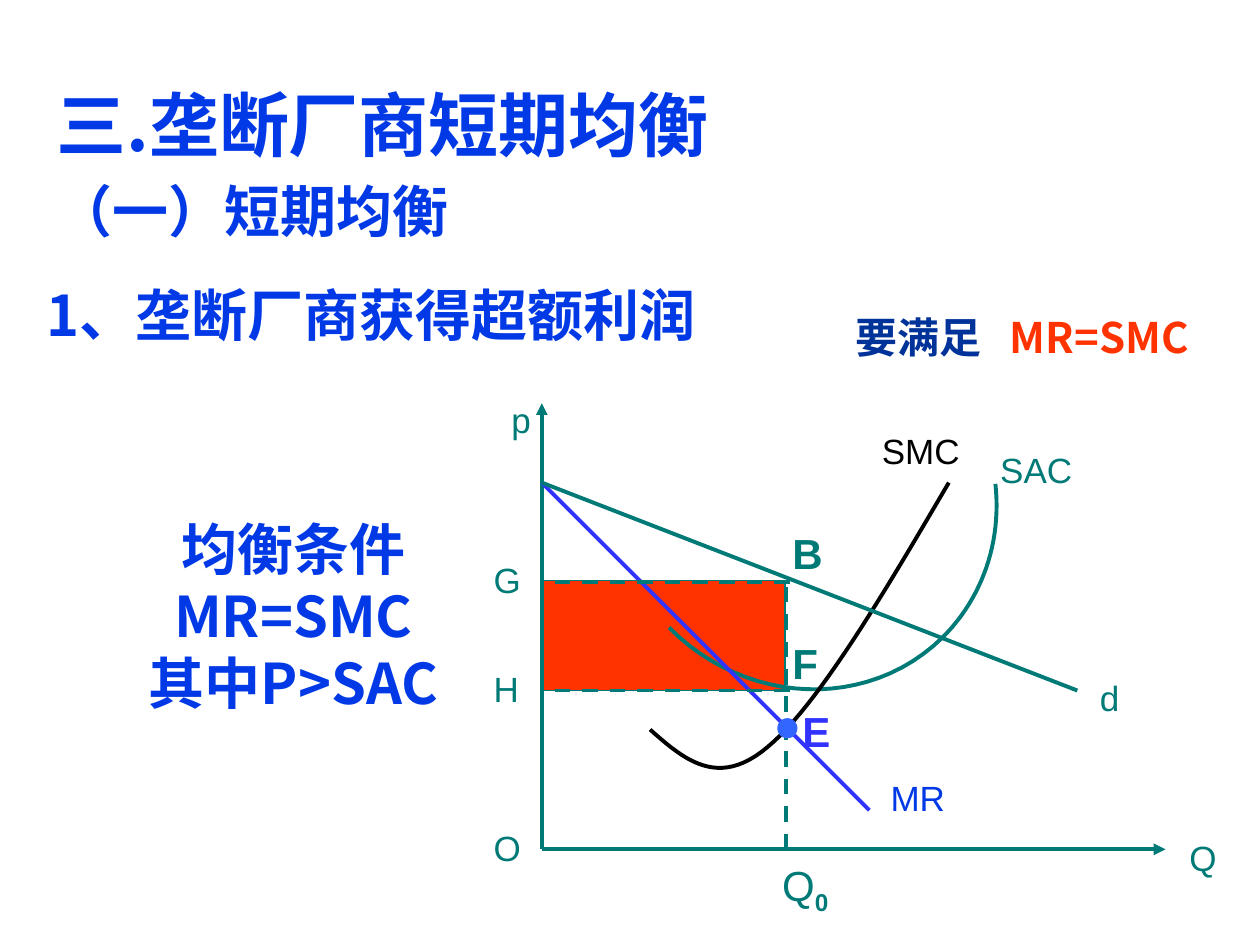
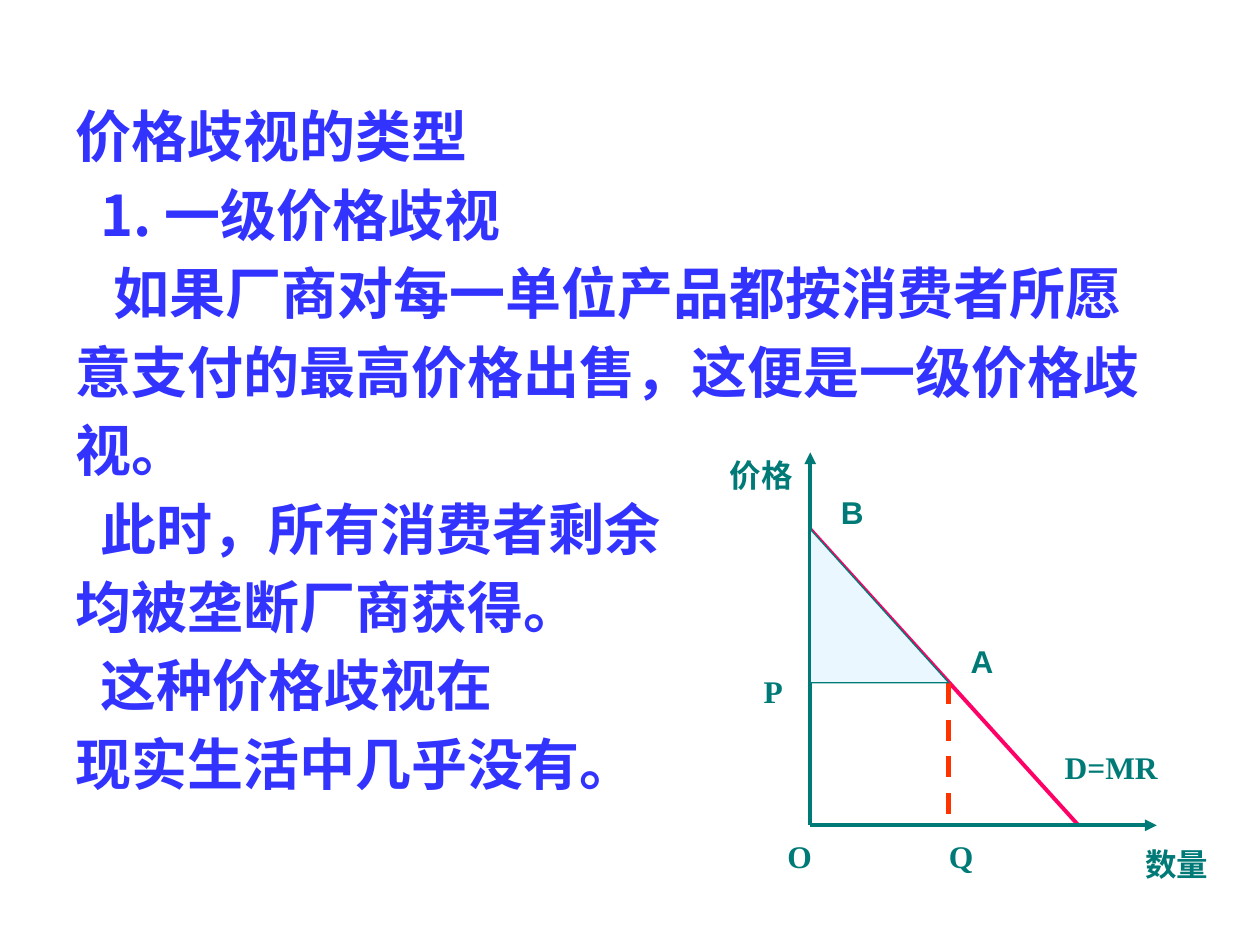
from dataclasses import dataclass

from lxml.etree import SubElement
from pptx import Presentation
from pptx.dml.color import RGBColor
from pptx.enum.dml import MSO_LINE
from pptx.enum.shapes import MSO_CONNECTOR, MSO_SHAPE
from pptx.enum.text import MSO_ANCHOR as Anchor, PP_ALIGN as Align
from pptx.oxml.ns import qn
from pptx.util import Pt

# Shared colours and fonts
TEAL = RGBColor(0x00, 0x7A, 0x77)
BLUE = RGBColor(0x00, 0x39, 0xE5)
VIOLET = RGBColor(0x33, 0x33, 0xFF)
NAVY = RGBColor(0x00, 0x33, 0x99)
DOT_BLUE = RGBColor(0x33, 0x66, 0xFF)
RED = RGBColor(0xFF, 0x33, 0x00)
PINK = RGBColor(0xFF, 0x00, 0x66)
PALE_BLUE = RGBColor(0xEB, 0xF7, 0xFF)
BLACK = RGBColor(0x00, 0x00, 0x00)
CHINESE = "Noto Sans CJK SC"
LINE_HEIGHT = 1.2
PARAGRAPH_GAP = 0.2


@dataclass(frozen=True)
class Style:
    size: float
    color: RGBColor = TEAL
    font: str = "Arial"
    bold: bool = False


@dataclass(frozen=True)
class Line:
    text: str
    style: Style
    indent: float = 0


@dataclass(frozen=True)
class Box:
    left: float
    top: float
    width: float
    height: float

    def lengths(self) -> tuple:
        return Pt(self.left), Pt(self.top), Pt(self.width), Pt(self.height)


@dataclass(frozen=True)
class Label:
    text: str
    box: Box
    style: Style


@dataclass(frozen=True)
class Segment:
    start: tuple[float, float]
    end: tuple[float, float]
    color: RGBColor = TEAL
    width: float = 2.25
    dashed: bool = False
    arrow: bool = False


TITLE = Style(40, BLUE, CHINESE, True)
HEADING = Style(32, BLUE, CHINESE, True)
BODY = Style(32, VIOLET, CHINESE, True)
NOTE = Style(24, NAVY, CHINESE, True)
AXIS = Style(20)
POINT = Style(24, bold=True)
SERIF = Style(18, font="Times New Roman", bold=True)
CORNER = Style(18, bold=True)


def format_paragraph(paragraph, style: Style) -> None:
    font = paragraph.font
    font.size, font.bold, font.name = Pt(style.size), style.bold, style.font
    font.color.rgb = style.color
    if style.font == CHINESE:
        paragraph.line_spacing = Pt(style.size * LINE_HEIGHT)
        defaults = paragraph._p.pPr.find(qn("a:defRPr"))
        SubElement(defaults, qn("a:ea")).set("typeface", CHINESE)


def add_text(slide, box: Box, lines: list[Line], inset: bool = True,
             align: Align = Align.LEFT, anchor: Anchor = Anchor.TOP):
    """Add a text box with one paragraph per line and return its frame."""
    frame = slide.shapes.add_textbox(*box.lengths()).text_frame
    frame.word_wrap = True
    frame.vertical_anchor = anchor
    if not inset:
        frame.margin_left = frame.margin_right = Pt(0)
        frame.margin_top = frame.margin_bottom = Pt(0)
    for index, line in enumerate(lines):
        paragraph = frame.add_paragraph() if index else frame.paragraphs[0]
        paragraph.text = line.text
        paragraph.alignment = align
        if index and align == Align.LEFT:
            paragraph.space_before = Pt(line.style.size * PARAGRAPH_GAP)
        if line.indent:
            paragraph._p.get_or_add_pPr().set("indent", str(Pt(line.indent)))
        format_paragraph(paragraph, line.style)
    return frame


def add_labels(slide, labels: list[Label], **options) -> None:
    for label in labels:
        add_text(slide, label.box, [Line(label.text, label.style)], **options)


def add_segments(slide, segments: list[Segment]) -> None:
    for segment in segments:
        connector = slide.shapes.add_connector(
            MSO_CONNECTOR.STRAIGHT, *map(Pt, segment.start + segment.end))
        connector.line.color.rgb = segment.color
        connector.line.width = Pt(segment.width)
        if segment.dashed:
            connector.line.dash_style = MSO_LINE.DASH
        if segment.arrow:
            tail = SubElement(connector.line._get_or_add_ln(), qn("a:tailEnd"))
            tail.set("type", "triangle")
        SubElement(connector._element.spPr, qn("a:effectLst"))


def add_area(slide, kind: MSO_SHAPE, box: Box, fill: RGBColor,
             outlined: bool = True) -> None:
    shape = slide.shapes.add_shape(kind, *box.lengths())
    shape.shadow.inherit = False
    shape.fill.solid()
    shape.fill.fore_color.rgb = fill
    if outlined:
        shape.line.color.rgb = TEAL
        shape.line.width = Pt(0.75)
    else:
        shape.line.fill.background()


def add_curve(slide, knots: list[tuple[float, float]], color: RGBColor,
              steps: int = 24) -> None:
    """Draw joined cubic Bézier pieces: a start, then three knots per piece."""
    points = []
    for first in range(0, len(knots) - 1, 3):
        piece = knots[first:first + 4]
        for step in range(1, steps + 1):
            t = step / steps
            weights = ((1 - t) ** 3, 3 * t * (1 - t) ** 2,
                       3 * t ** 2 * (1 - t), t ** 3)
            points.append(tuple(
                Pt(sum(w * knot[axis] for w, knot in zip(weights, piece)))
                for axis in (0, 1)))
    builder = slide.shapes.build_freeform(*map(Pt, knots[0]))
    builder.add_line_segments(points, close=False)
    curve = builder.convert_to_shape()
    curve.shadow.inherit = False
    curve.fill.background()
    curve.line.color.rgb = color
    curve.line.width = Pt(2.25)


def build_equilibrium(slide) -> None:
    """Short-run equilibrium with excess profit."""
    left, bottom, top = 309.6, 485.3, 275.8
    price, cost, quantity = 332.6, 394.6, 449.3

    add_text(slide, Box(25.2, 43.2, 648, 102), [
        Line("三.垄断厂商短期均衡", TITLE), Line("（一）短期均衡", HEADING)])

    # Profit area, axes and curves
    add_area(slide, MSO_SHAPE.RECTANGLE,
             Box(left, 331.9, 139, 62.7), RED)
    add_segments(slide, [
        Segment((left, bottom), (666, bottom), arrow=True),
        Segment((left, bottom), (left, 230.4), arrow=True)])
    add_curve(slide, [(568.8, 276.5), (572.4, 309.6), (561.6, 341.3),
                      (538.6, 364.3), (496.1, 406.1), (426.2, 403.2),
                      (382.3, 358.6)], TEAL)
    add_curve(slide, [(371.5, 416.9), (391, 434.2), (410.4, 450.7),
                      (438.5, 427), (467.3, 403.2), (504.7, 339.8),
                      (542.2, 275.8)], BLACK)
    add_segments(slide, [
        Segment((left, top), (496.8, 463), VIOLET),
        Segment((left, top), (615.6, 394.6)),
        Segment((quantity, bottom), (quantity, price), dashed=True),
        Segment((451.4, price), (left, price), dashed=True),
        Segment((451.4, cost), (left, cost), dashed=True)])

    # Labels of points, curves and axes
    add_labels(slide, [
        Label("E", Box(451.4, 399.6, 62.6, 36.7), Style(24, VIOLET, bold=True)),
        Label("F", Box(445.7, 360.7, 62.6, 36), POINT),
        Label("B", Box(445.7, 298.1, 62.6, 36), POINT),
        Label("SMC", Box(496.8, 241.9, 62.6, 31), Style(20, BLACK)),
        Label("SAC", Box(564.5, 252.7, 58, 31), AXIS),
        Label("p", Box(285.1, 223.9, 27, 31), AXIS),
        Label("Q", Box(672.5, 474.5, 32, 31), AXIS),
        Label("G", Box(275, 315.4, 32, 31), AXIS),
        Label("H", Box(275, 378, 32, 31), AXIS),
        Label("d", Box(621.4, 383, 27, 31), AXIS),
        Label("O", Box(275, 468.7, 32, 31), AXIS),
        Label("MR", Box(501.8, 439.9, 48, 31), Style(20, BLUE))])
    output = add_text(slide, Box(439.9, 487.4, 44, 36), [Line("Q", Style(24))])
    subscript = output.paragraphs[0].add_run()
    subscript.text = "0"
    subscript.font.bold = True
    subscript.font._element.set("baseline", "-25000")

    # Conditions
    add_text(slide, Box(65.5, 269.3, 204.5, 164.2),
             [Line(text, HEADING) for text in ("均衡条件", "MR=SMC", "其中P>SAC")],
             align=Align.CENTER, anchor=Anchor.MIDDLE)
    add_text(slide, Box(19.4, 156.7, 648, 46),
             [Line("1、垄断厂商获得超额利润", HEADING)])
    note = add_text(slide, Box(482, 174.2, 230, 40), [Line("要满足\t", NOTE)])
    paragraph = note.paragraphs[0]
    condition = paragraph.add_run()
    condition.text = "MR=SMC"
    condition.font.color.rgb = RED
    tabs = SubElement(paragraph._p.pPr, qn("a:tabLst"))
    tab = SubElement(tabs, qn("a:tab"))
    tab.set("pos", str(Pt(88)))
    tab.set("algn", "l")
    paragraph._p.pPr.find(qn("a:defRPr")).addprevious(tabs)

    # Equilibrium point
    add_area(slide, MSO_SHAPE.OVAL, Box(444.2, 410.4, 11.5, 11.5), DOT_BLUE,
             outlined=False)


def build_discrimination(slide) -> None:
    """First-degree price discrimination."""
    left, bottom, top = 463, 471.6, 302.4
    price, quantity = 390.2, 542.2

    add_text(slide, Box(36, 54.7, 648, 428.4), [
        Line("价格歧视的类型", BODY),
        Line("1. 一级价格歧视", BODY, 14.4),
        Line("如果厂商对每一单位产品都按消费者所愿", BODY, 21.6),
        Line("意支付的最高价格出售，这便是一级价格歧", BODY),
        Line("视。", BODY),
        Line("此时，所有消费者剩余", BODY, 14.4),
        Line("均被垄断厂商获得。", BODY),
        Line("这种价格歧视在", BODY, 14.4),
        Line("现实生活中几乎没有。", BODY)])

    # Demand, guides, axes and consumer surplus
    add_segments(slide, [
        Segment((left, top), (616.3, bottom), PINK),
        Segment((quantity, price), (quantity, bottom), RED, 3, dashed=True),
        Segment((quantity, price), (left, price), DOT_BLUE, 0.75, dashed=True),
        Segment((left, bottom), (left, 258.5), arrow=True),
        Segment((left, bottom), (661, bottom), arrow=True)])
    add_area(slide, MSO_SHAPE.RIGHT_TRIANGLE,
             Box(left, top, quantity - left, price - top), PALE_BLUE)

    # Labels of axes and points
    add_labels(slide, [
        Label("Q", Box(542.2, 478.1, 16, 21.6), SERIF),
        Label("价格", Box(416.9, 260.6, 38, 21.6), SERIF),
        Label("数量", Box(654.5, 483.1, 38, 21.6), SERIF),
        Label("O", Box(450, 478.1, 16, 21.6), SERIF),
        Label("P", Box(436.3, 383.8, 13, 21.6), SERIF),
        Label("D=MR", Box(608.4, 427.7, 56, 21.6), SERIF)], inset=False)
    add_labels(slide, [
        Label("A", Box(547.2, 360.7, 28, 33.8), CORNER),
        Label("B", Box(473, 275.8, 28, 33.8), CORNER)],
        inset=False, align=Align.CENTER, anchor=Anchor.MIDDLE)


def main() -> None:
    presentation = Presentation()
    presentation.slide_width, presentation.slide_height = Pt(720), Pt(540)
    blank = presentation.slide_layouts[6]
    for build in (build_equilibrium, build_discrimination):
        build(presentation.slides.add_slide(blank))
    presentation.save("out.pptx")


if __name__ == "__main__":
    main()
